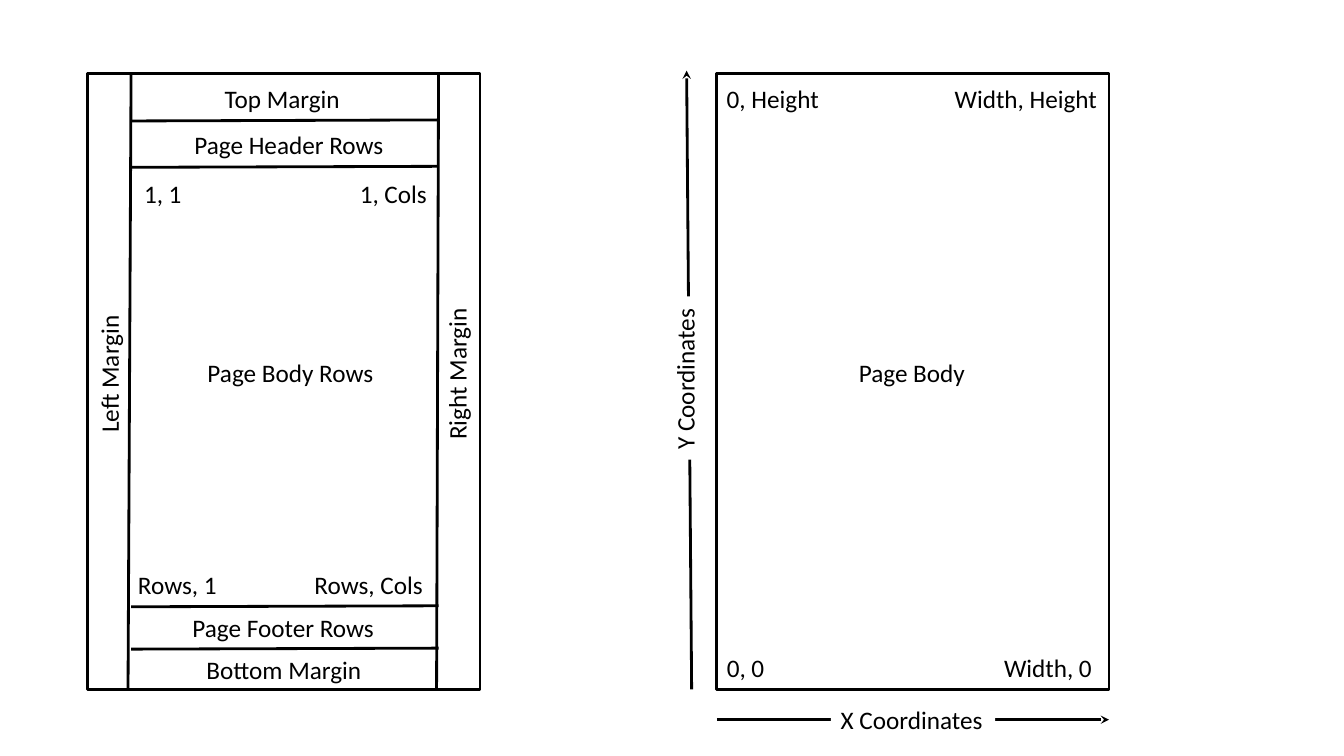
from pptx import Presentation
from pptx.dml.color import RGBColor
from pptx.enum.shapes import MSO_CONNECTOR as LINE, MSO_SHAPE as SHAPE
from pptx.enum.text import MSO_AUTO_SIZE as FIT
from pptx.oxml.ns import qn
from pptx.util import Inches, Pt
from lxml.etree import SubElement

COLORS = {"ink": "000000", "paper": "FFFFFF"}
FONT = "Calibri"
WIDTH, HEIGHT = 3.89, 6.11
ROW = 0.4


def color(name):
    return RGBColor.from_string(COLORS[name])


def add_frame(slide, x, y):
    frame = slide.shapes.add_shape(
        SHAPE.RECTANGLE, Inches(x), Inches(y), Inches(WIDTH), Inches(HEIGHT))
    frame.shadow.inherit = False
    frame.fill.background()
    frame.line.color.rgb = color("ink")
    frame.line.width = Pt(2)


def add_line(slide, x1, y1, x2, y2, arrow=False):
    line = slide.shapes.add_connector(
        LINE.STRAIGHT, Inches(x1), Inches(y1), Inches(x2), Inches(y2))
    line.line.color.rgb = color("ink")
    line.line.width = Pt(2)
    props = line._element.spPr
    if arrow:
        SubElement(props.find(qn("a:ln")), qn("a:tailEnd"), type="stealth")
    SubElement(props, qn("a:effectLst"))


def add_label(slide, text, x, y, width, turn=0, filled=False):
    box = slide.shapes.add_textbox(
        Inches(x), Inches(y), Inches(width), Inches(ROW))
    box.rotation = turn
    if filled:
        box.fill.solid()
        box.fill.fore_color.rgb = color("paper")
    frame = box.text_frame
    frame.text = text
    frame.word_wrap = False
    frame.auto_size = FIT.SHAPE_TO_FIT_TEXT
    font = frame.paragraphs[0].runs[0].font
    font.name, font.size = FONT, Pt(18)
    font.color.rgb = color("ink")


def add_rows_page(slide, x, y):
    """Draw the page measured in rows and columns, with its margins."""
    add_frame(slide, x, y)
    left, right = x + 0.43, x + 3.48
    add_line(slide, left, y, left - 0.03, y + HEIGHT)
    add_line(slide, right, y, right - 0.02, y + HEIGHT)
    for drop in (0.47, 0.93, 5.29, 5.71):
        add_line(slide, left, y + drop, right, y + drop - 0.01)

    for text, dx, dy, width in (
        ("Top Margin", 1.26, 0.05, 1.36),
        ("Page Header Rows", 0.96, 0.5, 2.1),
        ("1, 1", 0.46, 0.99, 0.58),
        ("1, Cols", 2.6, 0.99, 0.88),
        ("Page Body Rows", 1.09, 2.77, 1.86),
        ("Rows, 1", 0.4, 4.87, 0.99),
        ("Rows, Cols", 2.15, 4.87, 1.29),
        ("Page Footer Rows", 0.94, 5.3, 2.02),
        ("Bottom Margin", 1.08, 5.71, 1.76),
    ):
        add_label(slide, text, x + dx, y + dy, width)
    add_label(slide, "Left Margin", x - 0.48, y + 2.77, 1.38, 270)
    add_label(slide, "Right Margin", x + 2.9, y + 2.77, 1.52, 270)


def add_coords_page(slide, x, y):
    """Draw the page measured in coordinates, with its two axes."""
    add_frame(slide, x, y)
    base = y + HEIGHT
    add_line(slide, x, base + 0.3, x + WIDTH, base + 0.3, arrow=True)
    add_label(slide, "X Coordinates", x + 1.13, base + 0.1, 1.63, filled=True)
    add_line(slide, x - 0.25, base, x - 0.3, y - 0.03, arrow=True)
    add_label(slide, "Y Coordinates", x - 1.13, y + 2.82, 1.62, 270, True)

    for text, dx, dy, width in (
        ("0, Height", 0, 0.05, 1.13),
        ("Width, Height", 2.26, 0.05, 1.63),
        ("Page Body", 1.31, 2.77, 1.27),
        ("0, 0", 0, 5.69, 0.58),
        ("Width, 0", 2.75, 5.69, 1.07),
    ):
        add_label(slide, text, x + dx, y + dy, width)


def main():
    deck = Presentation()
    deck.slide_width, deck.slide_height = Inches(13.33), Inches(7.5)
    slide = deck.slides.add_slide(deck.slide_layouts[6])
    add_rows_page(slide, 0.87, 0.73)
    add_coords_page(slide, 7.11, 0.73)
    deck.save("out.pptx")


if __name__ == "__main__":
    main()
